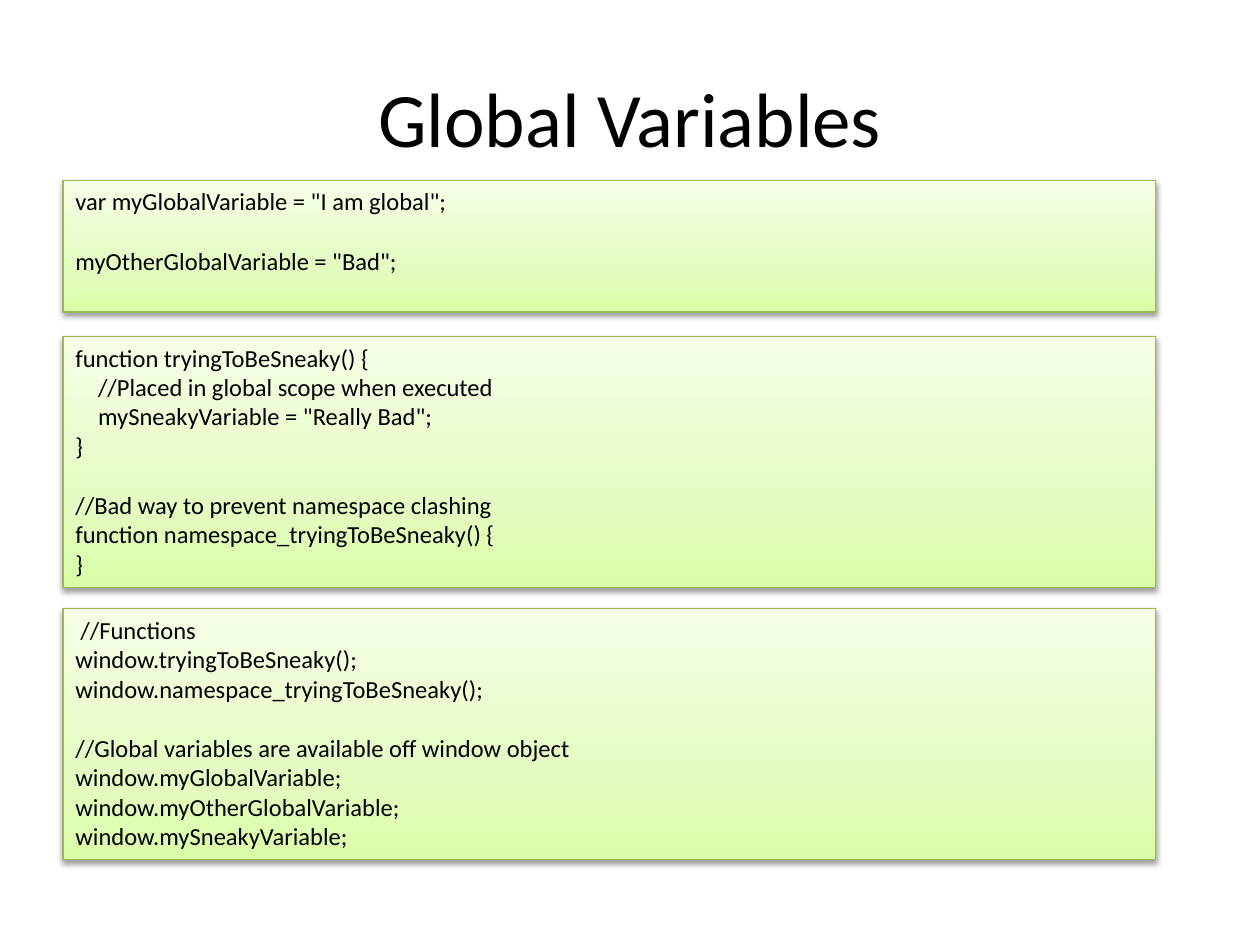
from lxml.etree import SubElement
from pptx import Presentation
from pptx.dml.color import RGBColor
from pptx.enum.shapes import MSO_SHAPE
from pptx.enum.text import MSO_ANCHOR, PP_ALIGN
from pptx.oxml.ns import qn
from pptx.util import Inches, Pt

FONT = "Calibri"
LINE = 17.03  # height in points of one line of 14 pt code
LEFT, WIDTH = 0.5, 8.67
STOPS = [(0, "DAFDA7"), (35, "E4FCC2"), (100, "F5FFE7")]

# Each block: top, height in lines, and (indent, gap in lines above, code)
BLOCKS = [
    (1.43, 4, [
        (0, 0, 'var myGlobalVariable = "I am global";'),
        (0, 1, 'myOtherGlobalVariable = "Bad";'),
    ]),
    (2.67, 8, [
        (0, 0, "function tryingToBeSneaky() {"),
        (0.18, 0, "//Placed in global scope when executed"),
        (0.18, 0, 'mySneakyVariable = "Really Bad";'),
        (0, 0, "}"),
        (0, 1, "//Bad way to prevent namespace clashing"),
        (0, 0, "function namespace_tryingToBeSneaky() {"),
        (0, 0, "}"),
    ]),
    (4.83, 8, [
        (0.04, 0, "//Functions"),
        (0, 0, "window.tryingToBeSneaky();"),
        (0, 0, "window.namespace_tryingToBeSneaky();"),
        (0, 1, "//Global variables are available off window object"),
        (0, 0, "window.myGlobalVariable;"),
        (0, 0, "window.myOtherGlobalVariable;"),
        (0, 0, "window.mySneakyVariable;"),
    ]),
]


def color(value):
    return RGBColor.from_string(value)


def write(par, text, size, align):
    par.text = text
    par.alignment = align
    par.font.name = FONT
    par.font.size = Pt(size)
    par.font.color.rgb = color("000000")


def add_color(node, value):
    return SubElement(node, qn("a:srgbClr"), val=value)


def shade(shape):
    """Fill with the green gradient, pale at the top."""
    shape.fill.gradient()
    shape.fill.gradient_angle = 90
    stops = shape._element.spPr.find(".//" + qn("a:gsLst"))
    for old in list(stops):
        stops.remove(old)
    for pos, value in STOPS:
        add_color(SubElement(stops, qn("a:gs"), pos=str(pos * 1000)), value)


def drop_shadow(shape):
    shape.shadow.inherit = False
    effects = shape._element.spPr.find(qn("a:effectLst"))
    outer = SubElement(effects, qn("a:outerShdw"), blurRad=str(Pt(3.1)),
                       dist=str(Pt(1.6)), dir="5400000", rotWithShape="0")
    SubElement(add_color(outer, "000000"), qn("a:alpha"), val="38000")


def add_title(slide, text, left, top, width, height):
    box = slide.shapes.add_textbox(*map(Inches, (left, top, width, height)))
    frame = box.text_frame
    frame.word_wrap = True
    frame.vertical_anchor = MSO_ANCHOR.MIDDLE
    write(frame.paragraphs[0], text, 44, PP_ALIGN.CENTER)


def add_code(slide, lines, left, top, width, height):
    box = slide.shapes.add_shape(
        MSO_SHAPE.RECTANGLE, *map(Inches, (left, top, width, height)))
    shade(box)
    box.line.color.rgb = color("98B955")
    box.line.width = Pt(0.75)
    drop_shadow(box)
    frame = box.text_frame
    frame.word_wrap = True
    frame.vertical_anchor = MSO_ANCHOR.TOP
    for i, (indent, gap, text) in enumerate(lines):
        par = frame.add_paragraph() if i else frame.paragraphs[0]
        write(par, text, 14, PP_ALIGN.LEFT)
        par.space_before = Pt(gap * LINE)
        par._p.get_or_add_pPr().set("marL", str(Inches(indent)))


def main():
    deck = Presentation()
    deck.slide_width, deck.slide_height = Inches(10), Inches(7.5)
    slide = deck.slides.add_slide(deck.slide_layouts[6])
    add_title(slide, "Global Variables", LEFT, 0.3, 9, 1.25)
    for top, rows, lines in BLOCKS:
        add_code(slide, lines, LEFT, top, WIDTH, 0.1 + rows * LINE / 72)
    deck.save("out.pptx")


if __name__ == "__main__":
    main()
